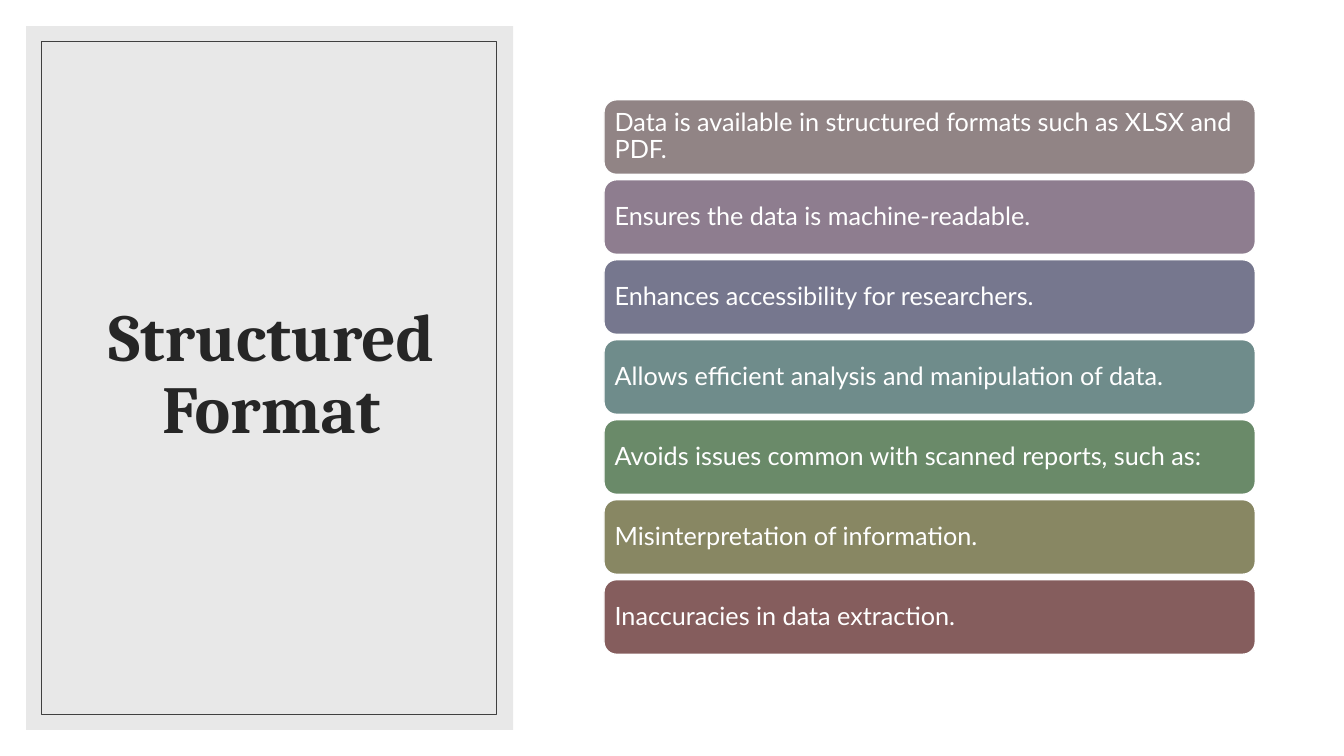
from lxml.etree import SubElement
from pptx import Presentation
from pptx.dml.color import RGBColor
from pptx.enum.shapes import MSO_SHAPE
from pptx.enum.text import MSO_ANCHOR, PP_ALIGN
from pptx.oxml.ns import qn
from pptx.util import Inches, Pt

SLIDE_WIDTH = Inches(13.33)
SLIDE_HEIGHT = Inches(7.5)

WHITE = RGBColor(0xFF, 0xFF, 0xFF)
PANEL_GREY = RGBColor(0xD9, 0xD9, 0xD9)
FRAME_GREY = RGBColor(0x40, 0x40, 0x40)
TITLE_GREY = RGBColor(0x26, 0x26, 0x26)

BENEFITS = [
    ("Data is available in structured formats such as XLSX and PDF.", RGBColor(0x91, 0x84, 0x85)),
    ("Ensures the data is machine-readable.", RGBColor(0x8E, 0x7D, 0x8F)),
    ("Enhances accessibility for researchers.", RGBColor(0x76, 0x77, 0x8E)),
    ("Allows efficient analysis and manipulation of data.", RGBColor(0x6F, 0x8C, 0x8B)),
    ("Avoids issues common with scanned reports, such as:", RGBColor(0x6A, 0x8A, 0x69)),
    ("Misinterpretation of information.", RGBColor(0x88, 0x87, 0x63)),
    ("Inaccuracies in data extraction.", RGBColor(0x85, 0x5D, 0x5D)),
]
BAR_TOP = 13.2
BAR_HEIGHT = 9.87
BAR_PITCH = 10.58


def place(left, top, width, height):
    """Turn percentages of the slide into a position and a size."""
    return (
        int(SLIDE_WIDTH * left / 100),
        int(SLIDE_HEIGHT * top / 100),
        int(SLIDE_WIDTH * width / 100),
        int(SLIDE_HEIGHT * height / 100),
    )


def add_box(slide, kind, area, fill=None, line=None, line_width=1):
    """Add a flat preset shape with an optional fill and outline."""
    shape = slide.shapes.add_shape(kind, *place(*area))
    shape.shadow.inherit = False
    if fill is None:
        shape.fill.background()
    else:
        shape.fill.solid()
        shape.fill.fore_color.rgb = fill
    if line is None:
        shape.line.fill.background()
    else:
        shape.line.color.rgb = line
        shape.line.width = Pt(line_width)
    return shape


def set_opacity(shape, percent):
    """Make the solid fill of a shape partly see-through."""
    color = shape.fill._xPr.find(qn("a:solidFill")).find(qn("a:srgbClr"))
    SubElement(color, qn("a:alpha")).set("val", str(percent * 1000))


def write(shape, text, font_name, size, color, alignment, bold=False):
    """Write one vertically centred paragraph into a shape."""
    frame = shape.text_frame
    frame.word_wrap = True
    frame.vertical_anchor = MSO_ANCHOR.MIDDLE
    paragraph = frame.paragraphs[0]
    paragraph.alignment = alignment
    paragraph.line_spacing = 0.9
    paragraph.space_after = Pt(6)
    run = paragraph.add_run()
    run.text = text
    run.font.name = font_name
    run.font.size = Pt(size)
    run.font.bold = bold
    run.font.color.rgb = color


def add_title_panel(slide, title):
    """Add the grey panel with its title and thin inner frame."""
    panel = add_box(slide, MSO_SHAPE.RECTANGLE, (1.95, 3.47, 36.23, 93.07), PANEL_GREY)
    set_opacity(panel, 60)
    title_box = slide.shapes.add_textbox(*place(4.73, 8.13, 30.91, 83.2))
    write(title_box, title, "Cambria", 48, TITLE_GREY, PP_ALIGN.CENTER, bold=True)
    add_box(slide, MSO_SHAPE.RECTANGLE, (3.08, 5.47, 33.83, 89.07), line=FRAME_GREY, line_width=0.5)


def add_bar(slide, row, text, fill):
    """Add one rounded bar of the list at the given row."""
    area = (44.94, BAR_TOP + row * BAR_PITCH, 48.46, BAR_HEIGHT)
    bar = add_box(slide, MSO_SHAPE.ROUNDED_RECTANGLE, area, fill, WHITE)
    frame = bar.text_frame
    frame.margin_left = frame.margin_right = Inches(0.07)
    frame.margin_top = frame.margin_bottom = Inches(0.07)
    write(bar, text, "Lato", 18, WHITE, PP_ALIGN.LEFT)


def main():
    """Build the slide and save it."""
    presentation = Presentation()
    presentation.slide_width = SLIDE_WIDTH
    presentation.slide_height = SLIDE_HEIGHT
    slide = presentation.slides.add_slide(presentation.slide_layouts[6])
    add_title_panel(slide, "Structured Format")
    for row, (text, fill) in enumerate(BENEFITS):
        add_bar(slide, row, text, fill)
    presentation.save("out.pptx")


if __name__ == "__main__":
    main()
